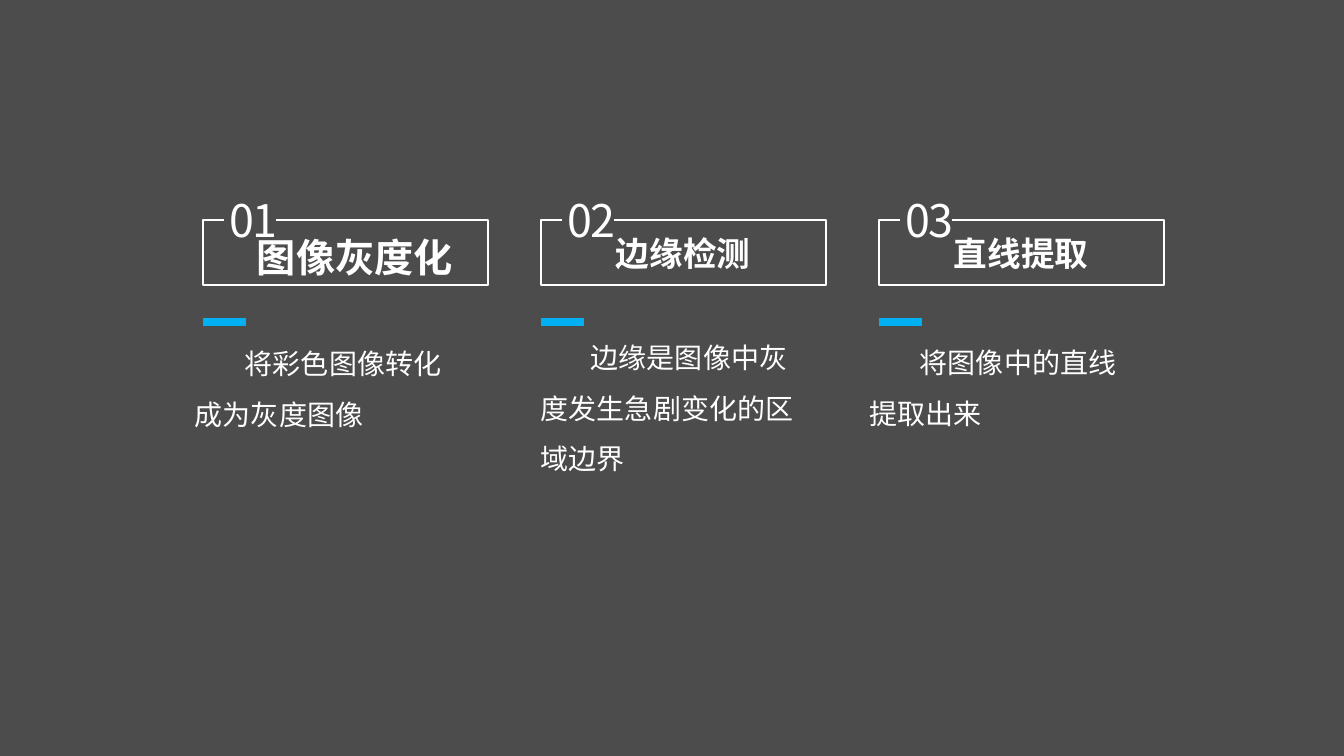
from pptx import Presentation
from pptx.dml.color import RGBColor as Rgb
from pptx.enum.shapes import MSO_CONNECTOR as Conn, MSO_SHAPE as Kind
from pptx.enum.text import MSO_AUTO_SIZE as Auto
from pptx.oxml.ns import qn
from pptx.oxml.xmlchemy import OxmlElement as Node
from pptx.util import Pt

PX = 12192000 / 1344
WIDE, HIGH = 1344, 756
FONT = "Noto Sans CJK SC"
COLORS = {"white": "FFFFFF", "veil": "000000", "accent": "00B0F0"}

# Column grid
LEFT, STEP = 203, 338
FRAME_TOP, FRAME_W, FRAME_H = 220, 285, 65

# Number, heading, heading size, heading box, body, body box (x from the column)
STAGES = [
    ("01", "图像灰度化", 28, (44, 228, 224, 57),
     "将彩色图像转化成为灰度图像", (-18, 325, 284, 106)),
    ("02", "边缘检测", 24, (65, 228, 156, 50),
     "边缘是图像中灰度发生急剧变化的区域边界", (-10, 319, 284, 157)),
    ("03", "直线提取", 24, (65, 228, 156, 50),
     "将图像中的直线提取出来", (-19, 324, 284, 106)),
]


def emu(*sizes):
    return [round(size * PX) for size in sizes]


def color(name):
    return Rgb.from_string(COLORS[name])


def add_text(slide, text, box, size, bold=False, wrap=True,
             indent=0, leading=None, track=0):
    shape = slide.shapes.add_textbox(*emu(*box))
    frame = shape.text_frame
    frame.word_wrap = wrap
    frame.auto_size = Auto.SHAPE_TO_FIT_TEXT
    para = frame.paragraphs[0]
    if indent:
        para._p.get_or_add_pPr().set("indent", str(emu(indent)[0]))
    if leading:
        para.line_spacing = leading
    run = para.add_run()
    run.text = text
    font = run.font
    font.name, font.size, font.bold = FONT, Pt(size), bold
    font.color.rgb = color("white")
    props = run._r.get_or_add_rPr()
    if track:
        props.set("spc", str(round(track * 100)))
    east = Node("a:ea")
    east.set("typeface", FONT)
    props.find(qn("a:latin")).addnext(east)


def add_veil(slide):
    veil = slide.shapes.add_shape(Kind.RECTANGLE, *emu(0, 0, WIDE, HIGH))
    veil.shadow.inherit = False
    veil.line.fill.background()
    veil.fill.solid()
    veil.fill.fore_color.rgb = color("veil")
    alpha = Node("a:alpha")
    alpha.set("val", "70000")
    veil._element.spPr.find(".//" + qn("a:srgbClr")).append(alpha)


def add_frame(slide, x):
    # Open outline with a gap for the number
    right, low = x + FRAME_W, FRAME_TOP + FRAME_H
    path = slide.shapes.build_freeform(x + 73, FRAME_TOP, scale=PX)
    path.add_line_segments(
        [(right, FRAME_TOP), (right, low), (x, low),
         (x, FRAME_TOP), (x + 21, FRAME_TOP)], close=False)
    frame = path.convert_to_shape()
    frame.shadow.inherit = False
    frame.fill.background()
    frame.line.color.rgb = color("white")
    frame.line.width = Pt(1)


def add_dash(slide, x):
    y = 322
    dash = slide.shapes.add_connector(Conn.STRAIGHT, *emu(x, y, x + 43, y))
    dash.line.color.rgb = color("accent")
    dash.line.width = Pt(6)
    dash._element.spPr.append(Node("a:effectLst"))


def add_stage(slide, x, stage):
    num, head, size, (dx, top, *dims), body, (bx, btop, *bdims) = stage
    add_text(slide, num, (x + 17, 188, 70, 65), 32, wrap=False, track=-1.5)
    add_frame(slide, x)
    add_text(slide, head, (x + dx, top, *dims), size, bold=True, wrap=False)
    add_dash(slide, x)
    add_text(slide, body, (x + bx, btop, *bdims), 20, indent=50, leading=1.5)


def main():
    deck = Presentation()
    deck.slide_width, deck.slide_height = emu(WIDE, HIGH)
    slide = deck.slides.add_slide(deck.slide_layouts[6])

    # Backdrop
    back = slide.background.fill
    back.solid()
    back.fore_color.rgb = color("white")
    add_veil(slide)

    # Three stages
    for i, stage in enumerate(STAGES):
        add_stage(slide, LEFT + i * STEP, stage)

    deck.save("out.pptx")


if __name__ == "__main__":
    main()
